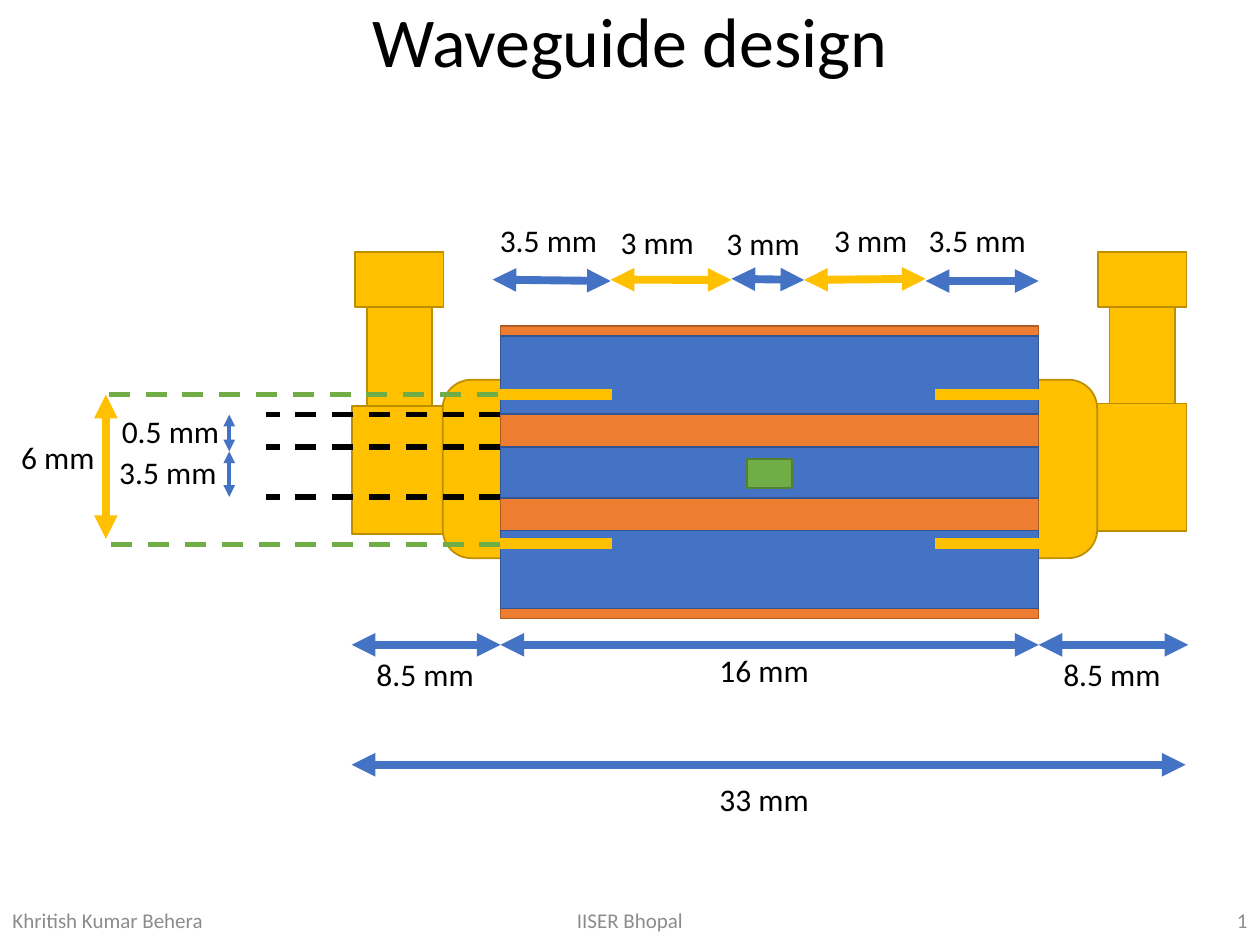
from lxml import etree
from pptx import Presentation
from pptx.dml.color import RGBColor
from pptx.enum.dml import MSO_LINE
from pptx.enum.shapes import MSO_CONNECTOR, MSO_SHAPE
from pptx.enum.text import MSO_ANCHOR, MSO_AUTO_SIZE, PP_ALIGN
from pptx.oxml.ns import qn
from pptx.util import Pt

STRAIGHT = MSO_CONNECTOR.STRAIGHT
RECT, ROUNDED = MSO_SHAPE.RECTANGLE, MSO_SHAPE.ROUNDED_RECTANGLE
DASH = MSO_LINE.DASH
LEFT, CENTER, RIGHT = PP_ALIGN.LEFT, PP_ALIGN.CENTER, PP_ALIGN.RIGHT
TOP, MIDDLE, BOTTOM = MSO_ANCHOR.TOP, MSO_ANCHOR.MIDDLE, MSO_ANCHOR.BOTTOM

COLORS = {
    "text": "000000", "footer": "8C8C8C",
    "gold": "FFC000", "gold_edge": "BD8E00",
    "orange": "ED7D31", "orange_edge": "AF5C24",
    "blue": "4472C4", "blue_edge": "325491",
    "green": "70AD47", "green_edge": "538035",
}
LABEL_WIDTH, LABEL_HEIGHT = 70.5, 29


def color(key):
    return RGBColor.from_string(COLORS[key])


def write(holder, words, size, key="text", align=LEFT, anchor=TOP, spacing=1.0):
    frame = holder.text_frame
    frame.text = words
    paragraph = frame.paragraphs[0]
    formats = {
        frame: {"word_wrap": True, "auto_size": MSO_AUTO_SIZE.NONE,
                "vertical_anchor": anchor},
        paragraph: {"alignment": align, "line_spacing": spacing},
        paragraph.font: {"name": "Calibri", "size": Pt(size)},
    }
    for target, values in formats.items():
        for attribute, value in values.items():
            setattr(target, attribute, value)
    paragraph.font.color.rgb = color(key)


def add_label(slide, left, top, words, width=LABEL_WIDTH):
    label = slide.shapes.add_textbox(Pt(left), Pt(top), Pt(width), Pt(LABEL_HEIGHT))
    write(label, words, 18)


def add_block(slide, box, key, preset=RECT):
    block = slide.shapes.add_shape(preset, *(Pt(length) for length in box))
    block.shadow.inherit = False
    block.fill.solid()
    block.fill.fore_color.rgb = color(key)
    block.line.color.rgb = color(key + "_edge")
    block.line.width = Pt(1)
    return block


def add_line(slide, start, end, key, width, dash=None, arrows=False):
    line = slide.shapes.add_connector(STRAIGHT, *(Pt(length) for length in start + end))
    line.line.color.rgb = color(key)
    line.line.width = Pt(width)
    if dash:
        line.line.dash_style = dash
    properties = line._element.spPr
    if arrows:
        outline = properties.find(qn("a:ln"))
        for tag in ("a:headEnd", "a:tailEnd"):
            etree.SubElement(outline, qn(tag), type="triangle")
    etree.SubElement(properties, qn("a:effectLst"))


def draw_title(slide, box):
    title = slide.shapes.title
    for side, length in zip(("left", "top", "width", "height"), box):
        setattr(title, side, Pt(length))
    write(title, "Waveguide design", 40, align=CENTER, anchor=BOTTOM, spacing=0.9)


def draw_footer(slide, box):
    left, top, width, height = box
    side, middle = 162, 243.5
    for x, part_width, words, align in (
        (left, side, "Khritish Kumar Behera", LEFT),
        (left + (width - middle) / 2, middle, "IISER Bhopal", CENTER),
        (left + width - side, side, "1", RIGHT),
    ):
        part = slide.shapes.add_textbox(Pt(x), Pt(top), Pt(part_width), Pt(height))
        write(part, words, 12, "footer", align, MIDDLE)


def draw_port(slide, box, tower_inset, block_drop, mirrored=False):
    left, top, width, height = box
    parts = (
        (tower_inset + 6.5, 28, 37.5, 73, None),
        (0, block_drop, 67, 73, None),
        (width - 67, 73, 67, height - 73, 0.245),
        (tower_inset, 0, 50.5, 31.5, None),
    )
    for inset, drop, part_width, part_height, rounding in parts:
        x = left + (width - inset - part_width if mirrored else inset)
        part = add_block(slide, (x, top + drop, part_width, part_height),
                         "gold", ROUNDED)
        part.adjustments[0] = rounding or 0


def draw_waveguide(slide, box):
    left, top, width, height = box
    add_block(slide, box, "orange")
    for drop, band_height in ((69, 29), (5.7, 44.6), (116.6, 44.6)):
        add_block(slide, (left, top + drop, width, band_height), "blue")
    for start, end in ((0, 63.5), (248.5, 308)):
        for drop in (39, 124):
            y = top + drop
            add_line(slide, (left + start, y), (left + end, y), "gold", 6)


def draw_sample(slide, box):
    add_block(slide, box, "green").rotation = 90


def draw_length_dimensions(slide, box):
    left, top, width, height = box
    body_start, body_end = left + 85, left + 392.5
    spans = (
        (left, left + width, top + height),
        (body_start, body_end, top),
        (left, body_start, top),
        (body_end, left + width + 1.5, top),
    )
    for start, end, y in spans:
        add_line(slide, (start, y), (end, y), "blue", 4.5, arrows=True)
    for x, drop, words in ((7, 2.5, "8.5 mm"), (399.5, 2.5, "8.5 mm"),
                           (203, 0, "16 mm"), (203, 73.5, "33 mm")):
        add_label(slide, left + x, top + drop, words)


def draw_section_dimensions(slide, box):
    left, top, width, height = box
    arrow_y = top + height
    sections = (
        (0, 67.5, -0.2, 0.6, "blue", -3, 0, "3.5 mm"),
        (67.5, 136.5, -0.2, 0, "gold", 66, 1.5, "3 mm"),
        (136.5, 178, -0.7, 0, "blue", 126.5, 2, "3 mm"),
        (178, 247.5, 0, -0.7, "gold", 188, 0.5, "3 mm"),
        (247.5, width, 0.6, 0.6, "blue", 242, 0, "3.5 mm"),
    )
    for start, end, rise, fall, key, label_x, label_drop, words in sections:
        add_line(slide, (left + start, arrow_y + rise), (left + end, arrow_y + fall),
                 key, 4.5, arrows=True)
        add_label(slide, left + label_x, top + label_drop, words)


def draw_height_dimensions(slide, box):
    left, top, width, height = box
    right = left + width
    layer_edges = [top + drop for drop in (11.5, 30, 58.5)]
    for y in layer_edges:
        add_line(slide, (right, y), (right - 134, y), "text", 3, dash=DASH)
    gap_x = left + 126
    gap_ends = (layer_edges[0], top + 32.5, layer_edges[2])
    for start, end in zip(gap_ends, gap_ends[1:]):
        add_line(slide, (gap_x, start), (gap_x, end), "blue", 2.25, arrows=True)
    add_line(slide, (left + 55.5, top), (left + 55.5, top + height - 3),
             "gold", 4.5, arrows=True)
    for start, end, y in ((right - 1.5, left + 50, top),
                          (right, left + 51, top + height)):
        add_line(slide, (start, y), (end, y), "green", 3, dash=DASH)
    add_label(slide, left + 57.5, top + 6.5, "0.5 mm")
    add_label(slide, left + 56, top + 30, "3.5 mm")
    add_label(slide, left, top + 21.5, "6 mm", 58.5)


def main():
    presentation = Presentation()
    presentation.slide_width, presentation.slide_height = Pt(720), Pt(540)
    slide = presentation.slides.add_slide(presentation.slide_layouts[5])
    draw_title(slide, (0, 0, 720, 51))
    draw_footer(slide, (0, 511, 720, 29))
    draw_port(slide, (201, 144, 119, 175), tower_inset=2, block_drop=88)
    draw_port(slide, (560, 144, 118, 175), tower_inset=0, block_drop=86.5, mirrored=True)
    draw_waveguide(slide, (286, 186.5, 307.5, 167))
    draw_length_dimensions(slide, (201, 368.5, 476.5, 68.5))
    draw_section_dimensions(slide, (281.5, 122.5, 312, 37.5))
    draw_sample(slide, (431.5, 257.5, 16.5, 26))
    draw_height_dimensions(slide, (5, 225.5, 281, 85.5))
    presentation.save("out.pptx")


if __name__ == "__main__":
    main()
